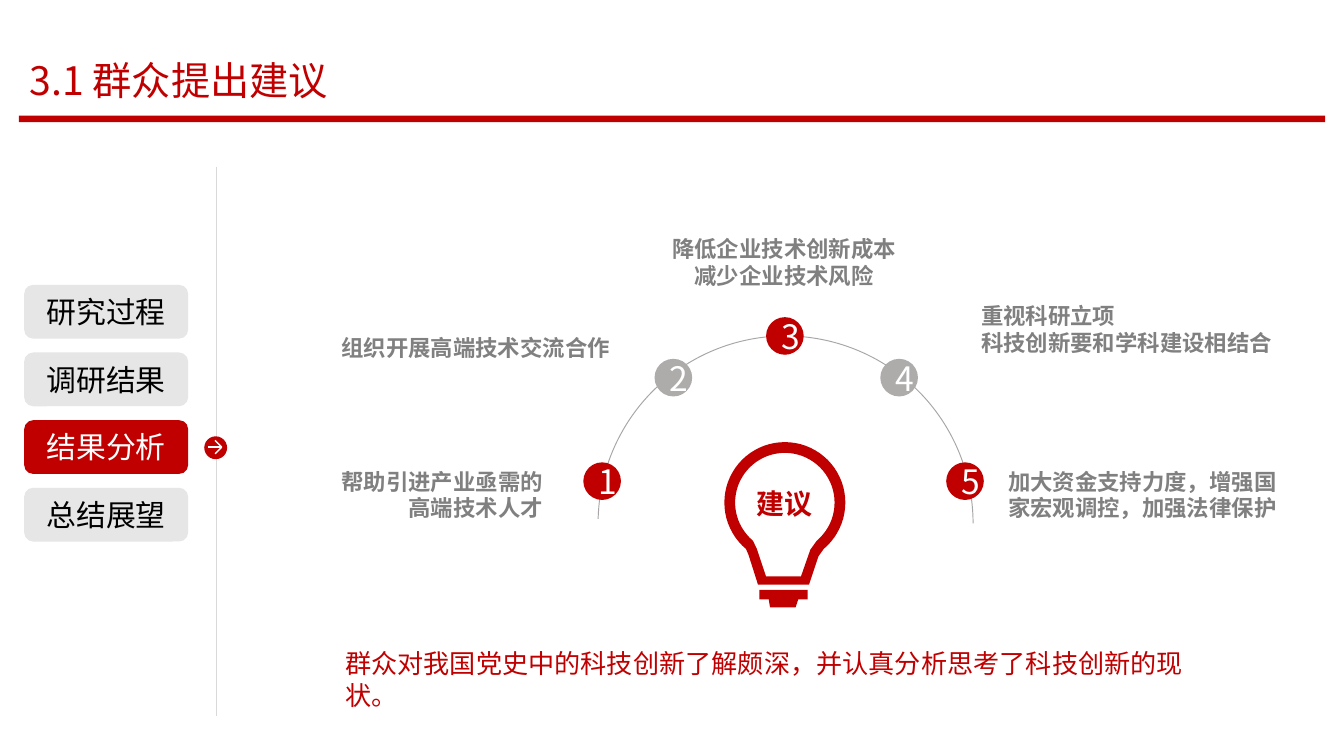
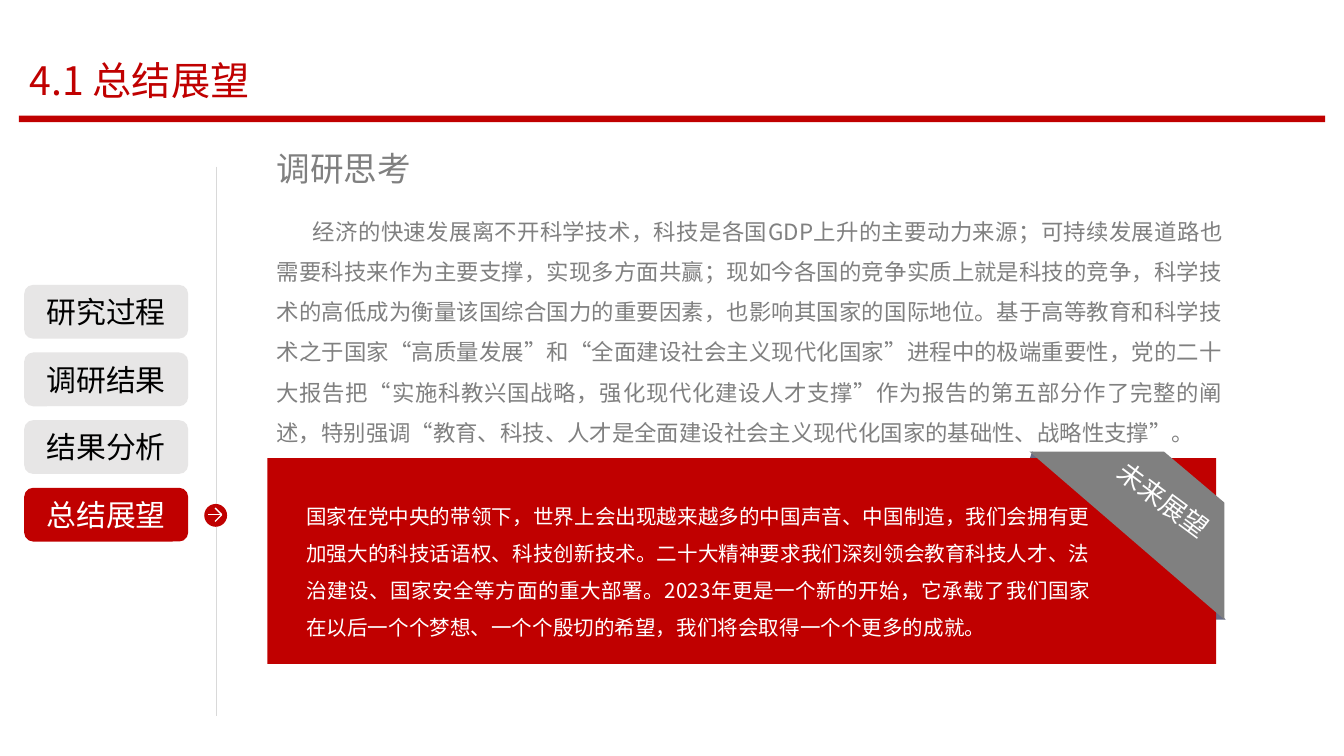
from dataclasses import dataclass
from math import cos, radians, sin

from lxml import etree
from pptx import Presentation
from pptx.dml.color import RGBColor
from pptx.enum import shapes, text
from pptx.oxml.ns import qn
from pptx.util import Inches, Pt

# Shared look
FONT = "Noto Sans CJK SC"
RED = RGBColor(0xC0, 0x00, 0x00)
WHITE = RGBColor(0xFF, 0xFF, 0xFF)
BLACK = RGBColor(0x00, 0x00, 0x00)
GREY = RGBColor(0x80, 0x80, 0x80)
STEP_GREY = RGBColor(0xAE, 0xAB, 0xAB)
ARC_GREY = RGBColor(0xA6, 0xA6, 0xA6)
NAV_GREY = RGBColor(0xE7, 0xE6, 0xE6)
RULE_GREY = RGBColor(0xD9, 0xD9, 0xD9)
FOLD = RGBColor(0x68, 0x6C, 0x86)

LEFT, CENTER = text.PP_ALIGN.LEFT, text.PP_ALIGN.CENTER
RIGHT, JUSTIFY = text.PP_ALIGN.RIGHT, text.PP_ALIGN.JUSTIFY
TOP, MIDDLE = text.MSO_ANCHOR.TOP, text.MSO_ANCHOR.MIDDLE
SHAPE = shapes.MSO_SHAPE

SECTIONS = ("研究过程", "调研结果", "结果分析", "总结展望")
NAV_TOP, NAV_HEIGHT, NAV_STEP = 2.12, 0.4, (3.63 - 2.12) / 3
RULE_X = 1.61

Point = tuple[float, float]


@dataclass(frozen=True)
class Box:
    left: float
    top: float
    width: float
    height: float

    def lengths(self) -> tuple:
        return tuple(Inches(v) for v in (self.left, self.top, self.width, self.height))


@dataclass(frozen=True)
class Style:
    size: float
    color: RGBColor
    align: text.PP_ALIGN = LEFT
    bold: bool = False
    spacing: float = 1.0
    indent: float = 0
    anchor: text.MSO_ANCHOR = TOP
    inset: Point = (0.1, 0.05)


@dataclass(frozen=True)
class Suggestion:
    dot_left: float
    dot_top: float
    fill: RGBColor
    caption: str
    box: Box
    align: text.PP_ALIGN


def write(shape, words: str, style: Style) -> None:
    frame = shape.text_frame
    frame.word_wrap = True
    frame.vertical_anchor = style.anchor
    frame.margin_left = frame.margin_right = Inches(style.inset[0])
    frame.margin_top = frame.margin_bottom = Inches(style.inset[1])
    frame.text = words
    for paragraph in frame.paragraphs:
        paragraph.alignment = style.align
        paragraph.line_spacing = style.spacing
        properties = paragraph._p.get_or_add_pPr()
        properties.set("hangingPunct", "0")
        if style.indent:
            properties.set("indent", str(Inches(style.indent)))
        font = paragraph.font
        font.size, font.bold = Pt(style.size), style.bold
        font.color.rgb = style.color
        font.name = FONT
        etree.SubElement(font._element, qn("a:ea"), typeface=FONT)


def add_text(slide, box: Box, words: str, style: Style):
    label = slide.shapes.add_textbox(*box.lengths())
    write(label, words, style)
    return label


def paint(shape, fill: RGBColor) -> None:
    shape.shadow.inherit = False
    shape.fill.solid()
    shape.fill.fore_color.rgb = fill
    shape.line.fill.background()


def add_block(slide, kind: SHAPE, box: Box, fill: RGBColor):
    block = slide.shapes.add_shape(kind, *box.lengths())
    paint(block, fill)
    return block


def add_line(slide, start: Point, end: Point, color: RGBColor) -> None:
    line = slide.shapes.add_connector(
        shapes.MSO_CONNECTOR.STRAIGHT, *(Inches(v) for v in start + end))
    line.line.color.rgb = color
    line.line.width = Pt(0.75)
    etree.SubElement(line._element.spPr, qn("a:effectLst"))


def add_outline(slide, contours: list[list[Point]], fill: RGBColor) -> None:
    rings = [[(Inches(x), Inches(y)) for x, y in ring] for ring in contours]
    builder = slide.shapes.build_freeform(*rings[0][0])
    for i, ring in enumerate(rings):
        if i:
            builder.move_to(*ring[0])
        builder.add_line_segments(ring[1:], close=True)
    paint(builder.convert_to_shape(), fill)


def add_frame(prs, title: str, current: int):
    """Title, red band, section menu and the arrow beside the current section."""
    slide = prs.slides.add_slide(prs.slide_layouts[5])
    heading = slide.shapes.title
    heading.left, heading.top, heading.width, heading.height = Box(
        0.12, 0.37, 3.85, 0.45).lengths()
    write(heading, title, Style(21, RED))
    heading.text_frame.auto_size = text.MSO_AUTO_SIZE.NONE
    add_block(slide, SHAPE.RECTANGLE, Box(0.14, 0.86, 9.72, 0.05), RED)
    add_line(slide, (RULE_X, 1.24), (RULE_X, 5.33), RULE_GREY)

    for i, section in enumerate(SECTIONS):
        active = i == current
        button = add_block(slide, SHAPE.ROUNDED_RECTANGLE,
                           Box(0.18, NAV_TOP + i * NAV_STEP, 1.22, NAV_HEIGHT),
                           RED if active else NAV_GREY)
        write(button, section,
              Style(16, WHITE if active else BLACK, CENTER, anchor=MIDDLE))

    y = NAV_TOP + current * NAV_STEP + NAV_HEIGHT / 2
    add_block(slide, SHAPE.OVAL, Box(1.52, y - 0.08, 0.17, 0.17), RED)
    tip = (1.65, y)
    for tail in ((1.55, y), (1.6, y + 0.05), (1.6, y - 0.05)):
        add_line(slide, tail, tip, WHITE)
    return slide


# Slide 1: suggestions around a light bulb
SUGGESTIONS = (
    Suggestion(4.34, 3.44, RED, "帮助引进产业亟需的高端技术人才",
               Box(2.33, 3.44, 1.78, 0.48), RIGHT),
    Suggestion(4.87, 2.67, STEP_GREY, "组织开展高端技术交流合作",
               Box(2.38, 2.45, 2.23, 0.28), RIGHT),
    Suggestion(5.7, 2.36, RED, "降低企业技术创新成本\n减少企业技术风险",
               Box(4.76, 1.71, 2.15, 0.48), CENTER),
    Suggestion(6.55, 2.67, STEP_GREY, "重视科研立项\n科技创新要和学科建设相结合",
               Box(7.23, 2.21, 2.41, 0.48), LEFT),
    Suggestion(7.04, 3.44, RED, "加大资金支持力度，增强国家宏观调控，加强法律保护",
               Box(7.43, 3.44, 2.28, 0.48), LEFT),
)


def bulb_ring(radius: float, neck: list[Point]) -> list[Point]:
    """Round glass, open at the bottom, closed by the neck points."""
    glass = [(5.84 + radius * cos(radians(a)), 3.74 + radius * sin(radians(a)))
             for a in range(130, 411, 5)]
    return glass + neck


def build_suggestions(prs) -> None:
    slide = add_frame(prs, "3.1 群众提出建议", 2)
    arch = slide.shapes.add_shape(SHAPE.ARC, *Box(4.45, 2.5, 2.79, 2.79).lengths())
    arch.shadow.inherit = False
    arch.adjustments[0], arch.adjustments[1] = 108.85, 0
    arch.fill.background()
    arch.line.color.rgb = ARC_GREY
    arch.line.width = Pt(0.5)

    tight = (0.07, 0.04)
    for number, item in enumerate(SUGGESTIONS, 1):
        dot = add_block(slide, SHAPE.OVAL,
                        Box(item.dot_left, item.dot_top, 0.28, 0.28), item.fill)
        write(dot, str(number), Style(18, WHITE, CENTER, anchor=MIDDLE, inset=tight))
        add_text(slide, item.box, item.caption,
                 Style(12, GREY, item.align, bold=True, inset=tight))

    base = [(5.65, 4.39), (6.01, 4.39), (6.01, 4.46), (5.94, 4.46),
            (5.92, 4.52), (5.73, 4.52), (5.72, 4.46), (5.65, 4.46)]
    outer = bulb_ring(0.45, [(6.09, 4.14), (6.02, 4.35), (5.64, 4.35), (5.57, 4.13)])
    inner = bulb_ring(0.37, [(6.03, 4.09), (5.96, 4.29), (5.7, 4.29), (5.63, 4.08)])
    add_outline(slide, [base, outer, inner[::-1]], RED)
    add_text(slide, Box(5.39, 3.57, 0.89, 0.35), "建议",
             Style(15, RED, CENTER, bold=True))
    add_text(slide, Box(2.47, 4.77, 6.73, 0.34),
             "群众对我国党史中的科技创新了解颇深，并认真分析思考了科技创新的现状。",
             Style(14, RED))


# Slide 2: reflections and outlook
REFLECTION = (
    "经济的快速发展离不开科学技术，科技是各国GDP上升的主要动力来源；"
    "可持续发展道路也需要科技来作为主要支撑，实现多方面共赢；"
    "现如今各国的竞争实质上就是科技的竞争，科学技术的高低成为衡量该国综合国力的重要因素，"
    "也影响其国家的国际地位。基于高等教育和科学技术之于国家“高质量发展”和"
    "“全面建设社会主义现代化国家”进程中的极端重要性，党的二十大报告把"
    "“实施科教兴国战略，强化现代化建设人才支撑”作为报告的第五部分作了完整的阐述，"
    "特别强调“教育、科技、人才是全面建设社会主义现代化国家的基础性、战略性支撑”。")
OUTLOOK = (
    "国家在党中央的带领下，世界上会出现越来越多的中国声音、中国制造，"
    "我们会拥有更加强大的科技话语权、科技创新技术。"
    "二十大精神要求我们深刻领会教育科技人才、法治建设、国家安全等方面的重大部署。"
    "2023年更是一个新的开始，它承载了我们国家在以后一个个梦想、一个个殷切的希望，"
    "我们将会取得一个个更多的成就。")


def build_outlook(prs) -> None:
    slide = add_frame(prs, "4.1 总结展望", 3)
    add_text(slide, Box(1.96, 1.47, 7.24, 1.88), REFLECTION,
             Style(12, GREY, JUSTIFY, spacing=1.5, indent=0.27))
    add_text(slide, Box(1.96, 1.05, 1.56, 0.4), "调研思考", Style(18, GREY))

    # Red panel with a ribbon folded over its corner
    add_outline(slide, [[(9.12, 4.61), (9.01, 4.61), (9.01, 4.49)]], FOLD)
    add_outline(slide, [[(7.68, 3.36), (7.66, 3.42), (7.78, 3.42)]], FOLD)
    add_block(slide, SHAPE.RECTANGLE, Box(1.99, 3.41, 7.06, 1.53), RED)
    add_outline(slide, [[(7.66, 3.36), (9.11, 4.61), (9.11, 3.74), (8.66, 3.36)]], GREY)
    ribbon = add_text(slide, Box(8.16, 3.57, 1.04, 0.34), "未来展望", Style(14, WHITE))
    ribbon.rotation = 36.5
    add_text(slide, Box(2.18, 3.61, 6.03, 1.18), OUTLOOK,
             Style(11, WHITE, JUSTIFY, spacing=1.5))


def main() -> None:
    prs = Presentation()
    prs.slide_width = Inches(10)
    prs.slide_height = prs.slide_width * 9 // 16
    build_suggestions(prs)
    build_outlook(prs)
    prs.save("out.pptx")


if __name__ == "__main__":
    main()
